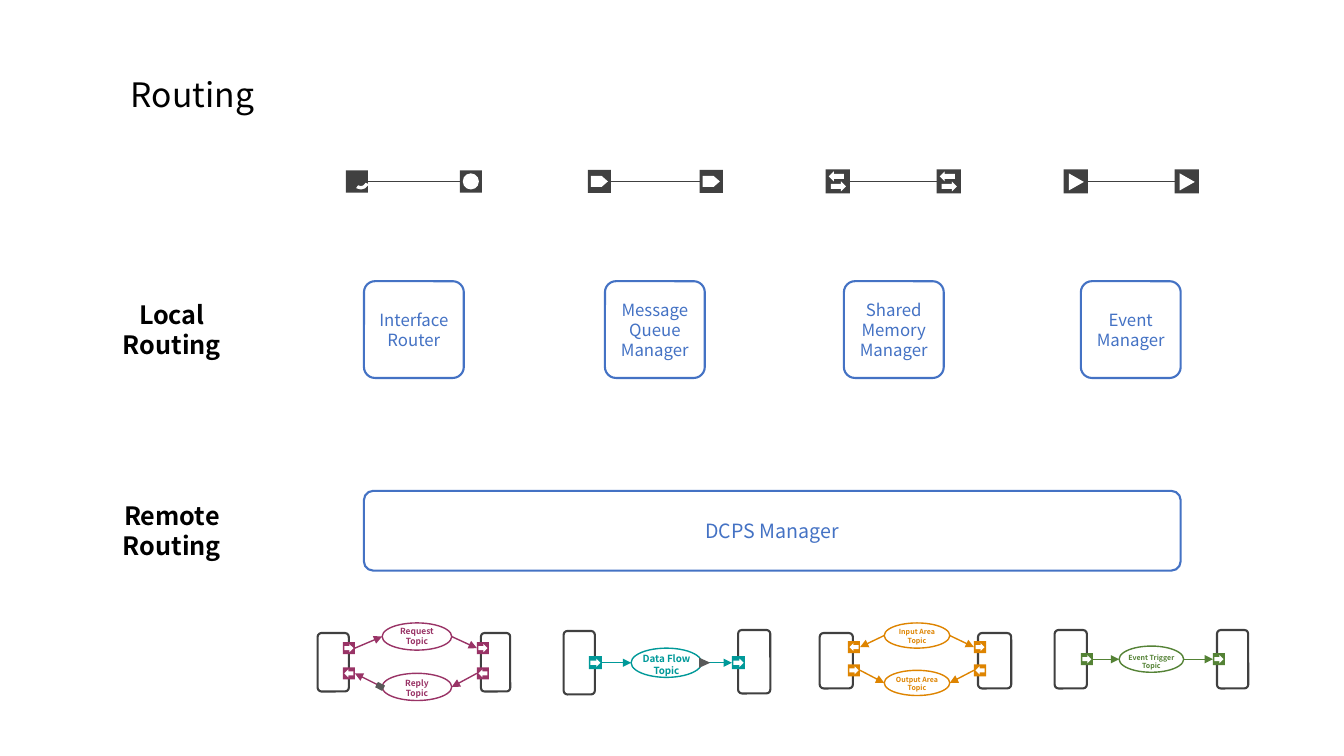
import pptx
import pptx.dml.color
import pptx.enum.shapes
import pptx.enum.text
import pptx.oxml
import pptx.oxml.ns
import pptx.util

Inches = pptx.util.Inches
Pt = pptx.util.Pt
SHAPE = pptx.enum.shapes.MSO_SHAPE
CENTER = pptx.enum.text.PP_ALIGN.CENTER
LEFT = pptx.enum.text.PP_ALIGN.LEFT

BLACK, WHITE, DARK, GREY, BLUE = "000000", "FFFFFF", "404040", "595959", "4472C4"
PURPLE, TEAL, ORANGE, GREEN = "993366", "009999", "DE8400", "548235"


def rgb(value):
    return pptx.dml.color.RGBColor.from_string(value)


class RoutingSlide:
    """Holds the font and the shapes being drawn on."""

    font = "Noto Sans CJK SC"

    def __init__(self, slide):
        self.slide = slide
        self.shapes = slide.shapes

    def start_group(self):
        self.shapes = self.slide.shapes.add_group_shape().shapes

    def end_group(self):
        self.shapes = self.slide.shapes

    def shape(self, kind, left, top, width, height, fill=None, line=None,
              weight=1, rotation=0, adjust=()):
        item = self.shapes.add_shape(kind, Inches(left), Inches(top),
                                     Inches(width), Inches(height))
        item.shadow.inherit = False
        item.rotation = rotation
        for index, value in enumerate(adjust):
            item.adjustments[index] = value
        if fill:
            item.fill.solid()
            item.fill.fore_color.rgb = rgb(fill)
        else:
            item.fill.background()
        if line:
            item.line.color.rgb = rgb(line)
            item.line.width = Pt(weight)
        else:
            item.line.fill.background()
        return item

    def set_lines(self, frame, lines, size, color, bold=False, align=CENTER):
        frame.word_wrap = True
        for index, words in enumerate(lines):
            paragraph = frame.paragraphs[0] if index == 0 else frame.add_paragraph()
            paragraph.text = words
            paragraph.alignment = align
            paragraph.line_spacing = Pt(round(size * 1.2, 1))
            paragraph.font.name = self.font
            paragraph.font.size = Pt(size)
            paragraph.font.bold = bold
            paragraph.font.color.rgb = rgb(color)

    def text(self, left, top, width, height, lines, size, color,
             bold=False, align=CENTER, side_inset=0.1):
        box = self.shapes.add_textbox(Inches(left), Inches(top),
                                      Inches(width), Inches(height))
        box.text_frame.margin_left = box.text_frame.margin_right = Inches(side_inset)
        self.set_lines(box.text_frame, lines, size, color, bold, align)

    def manager(self, left, top, width, height, lines, size):
        box = self.shape(SHAPE.ROUNDED_RECTANGLE, left, top, width, height,
                         line=BLUE, weight=1.5, adjust=[0.114])
        box.text_frame.vertical_anchor = pptx.enum.text.MSO_ANCHOR.MIDDLE
        self.set_lines(box.text_frame, lines, size, BLUE)

    def line(self, start, end, color, arrow=False):
        connector = self.shapes.add_connector(
            pptx.enum.shapes.MSO_CONNECTOR.STRAIGHT,
            Inches(start[0]), Inches(start[1]), Inches(end[0]), Inches(end[1]))
        connector.line.color.rgb = rgb(color)
        connector.line.width = Pt(1)
        properties = connector._element.spPr
        if arrow:
            tail = pptx.oxml.parse_xml(
                f'<a:tailEnd {pptx.oxml.ns.nsdecls("a")} type="triangle"/>')
            properties.find(pptx.oxml.ns.qn("a:ln")).append(tail)
        properties.append(
            pptx.oxml.parse_xml(f'<a:effectLst {pptx.oxml.ns.nsdecls("a")}/>'))

    def local_link(self, lefts, size, glyphs):
        """Two dark squares joined by a line; glyphs are offsets in each square."""
        top = 1.8 - size / 2
        self.line((lefts[0] + size, 1.8), (lefts[1], 1.8), DARK)
        for left, square_glyphs in zip(lefts, glyphs):
            self.shape(SHAPE.RECTANGLE, left, top, size, size, fill=DARK)
            for kind, dx, dy, width, height, rotation, adjust in square_glyphs:
                self.shape(kind, left + dx, top + dy, width, height, fill=WHITE,
                           rotation=rotation, adjust=adjust)

    def node(self, left, top, width, height):
        self.shape(SHAPE.ROUNDED_RECTANGLE, left, top, width, height,
                   line=DARK, weight=1.5, adjust=[0.121])

    def topic(self, lines, font_size, color, ports, port_top, port_size,
              oval, label_shift, flows):
        """An oval between two ports; flows gives '>' or '<' for each side."""
        left, top, width, height = oval
        oval_y, port_y = top + height / 2, port_top + port_size / 2
        spans = [((ports[0] + port_size, port_y), (left, oval_y)),
                 ((left + width, oval_y), (ports[1], port_y))]
        for port, span, flow in zip(ports, spans, flows):
            self.shape(SHAPE.RECTANGLE, port, port_top, port_size, port_size, fill=color)
            self.shape(SHAPE.RIGHT_ARROW, port + 0.015, port_y - 0.04,
                       port_size - 0.03, 0.08, fill=WHITE,
                       rotation=0 if flow == ">" else 180)
            start, end = span if flow == ">" else span[::-1]
            self.line(start, end, color, arrow=True)
        self.shape(SHAPE.OVAL, *oval, fill=WHITE, line=color)
        self.text(left, top + label_shift, width, 0.27, lines, font_size, color,
                  bold=True, side_inset=0)


def main():
    deck = pptx.Presentation()
    deck.slide_width, deck.slide_height = Inches(13.33), Inches(7.5)
    art = RoutingSlide(deck.slides.add_slide(deck.slide_layouts[6]))

    # Title and row headings
    art.text(1.2, 0.68, 2.16, 0.5, ["Routing"], 24, BLACK, align=LEFT)
    for top, scope in [(2.92, "Local"), (4.91, "Remote")]:
        art.text(0.91, top, 1.59, 0.71, [scope, "Routing"], 18, BLACK, bold=True)

    # Local links: interface, message queue, shared memory, event
    socket = [(SHAPE.BLOCK_ARC, 0.07, 0.03, 0.16, 0.16, 270, [64.8, 129.6, 0.211])]
    ball = [(SHAPE.OVAL, 0.03, 0.03, 0.16, 0.16, 0, [])]
    queue = [(SHAPE.PENTAGON, 0.03, 0.06, 0.17, 0.11, 0, [0.57])]
    memory = [(SHAPE.RIGHT_ARROW, 0.05, 0.12, 0.15, 0.1, 0, []),
              (SHAPE.RIGHT_ARROW, 0.03, 0.02, 0.15, 0.1, 180, [])]
    event = [(SHAPE.ISOSCELES_TRIANGLE, 0.04, 0.05, 0.17, 0.15, 90, [])]
    local_links = [
        ((3.43, 4.56), 0.22, (socket, ball)),
        ((5.83, 6.94), 0.23, (queue, queue)),
        ((8.19, 9.29), 0.24, (memory, memory)),
        ((10.55, 11.65), 0.24, (event, event)),
    ]
    for lefts, size, glyphs in local_links:
        art.start_group()
        art.local_link(lefts, size, glyphs)
    art.end_group()

    # Managers
    local_managers = [
        (3.61, ["Interface", "Router"]),
        (6, ["Message", "Queue", "Manager"]),
        (8.37, ["Shared Memory", "Manager"]),
        (10.72, ["Event", "Manager"]),
    ]
    for left, lines in local_managers:
        art.manager(left, 2.79, 0.99, 0.96, lines, 12)
    art.manager(3.61, 4.87, 8.1, 0.79, ["DCPS Manager"], 14)

    # Remote links: nodes, font size, colour, port lefts, port size, then topics
    # as (name, port top, oval, label shift, flows)
    remote_links = [
        ([(3.15, 6.28, 0.31, 0.58), (4.77, 6.28, 0.29, 0.58)],
         6, PURPLE, (3.4, 4.73), 0.12,
         [("Request", 6.37, (3.79, 6.18, 0.69, 0.27), -0.02, ">>"),
          ("Reply", 6.62, (3.79, 6.68, 0.69, 0.27), 0, "<<")]),
        ([(5.59, 6.26, 0.31, 0.63), (7.32, 6.25, 0.32, 0.63)],
         7, TEAL, (5.84, 7.26), 0.13,
         [("Data Flow", 6.51, (6.26, 6.43, 0.7, 0.29), 0, ">>")]),
        ([(8.13, 6.28, 0.33, 0.55), (9.7, 6.28, 0.33, 0.55)],
         5, ORANGE, (8.41, 9.66), 0.12,
         [("Input Area", 6.36, (8.77, 6.18, 0.65, 0.25), 0, "<>"),
          ("Output Area", 6.59, (8.77, 6.65, 0.65, 0.25), 0, "><")]),
        ([(10.46, 6.25, 0.32, 0.58), (12.07, 6.25, 0.31, 0.58)],
         5, GREEN, (10.72, 12.03), 0.12,
         [("Event Trigger", 6.48, (11.1, 6.41, 0.64, 0.26), 0.02, ">>")]),
    ]
    for nodes, font_size, color, ports, port_size, topics in remote_links:
        art.start_group()
        for node in nodes:
            art.node(*node)
        for name, port_top, oval, label_shift, flows in topics:
            art.topic([name, "Topic"], font_size, color, ports, port_top,
                      port_size, oval, label_shift, flows)
    art.end_group()

    # Grey markers on the reply and data flow topics
    art.shape(SHAPE.RECTANGLE, 3.73, 6.78, 0.08, 0.06, fill=GREY, rotation=27.8)
    art.shape(SHAPE.ISOSCELES_TRIANGLE, 6.94, 6.52, 0.1, 0.11, fill=GREY, rotation=90)

    deck.save("out.pptx")


if __name__ == "__main__":
    main()
